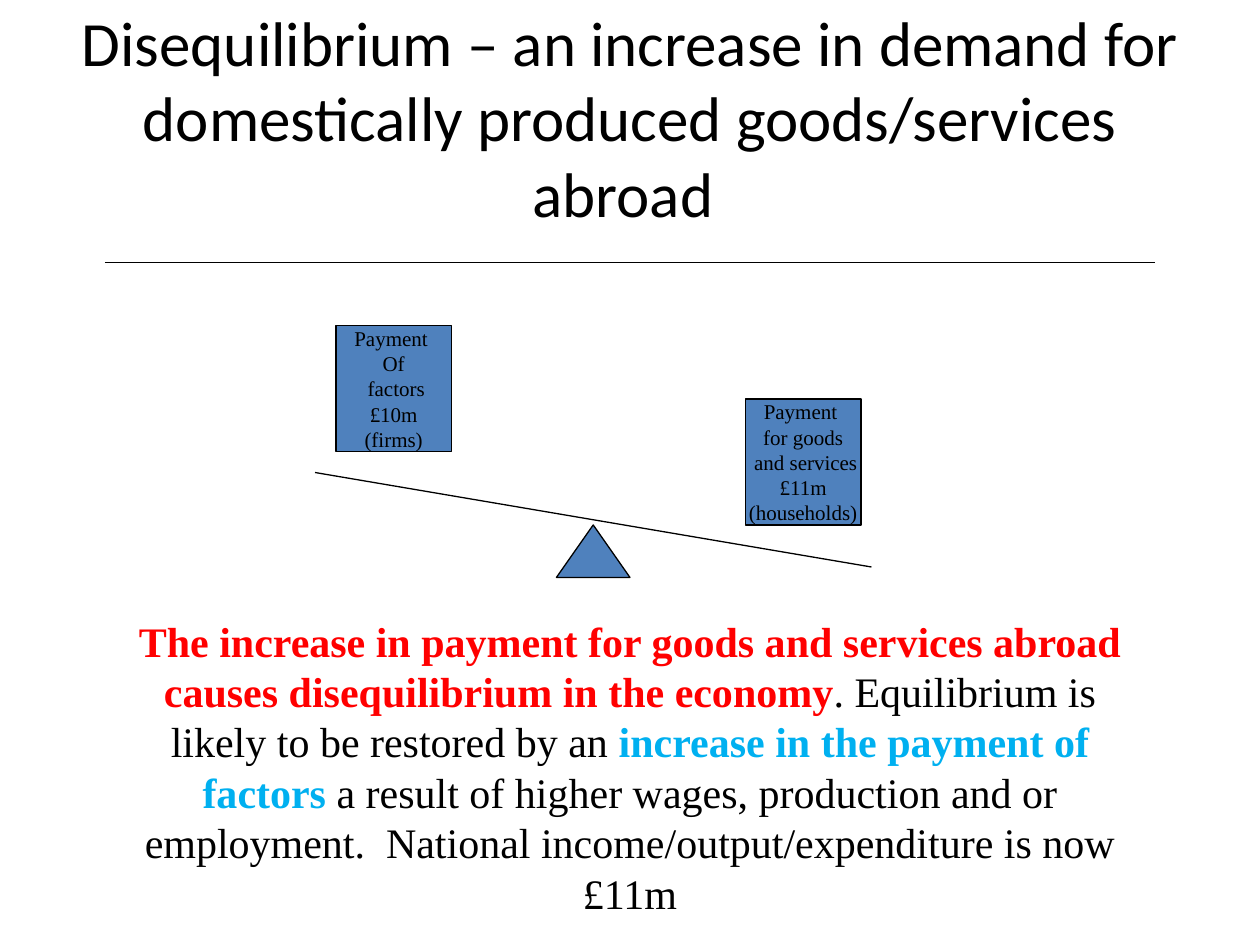
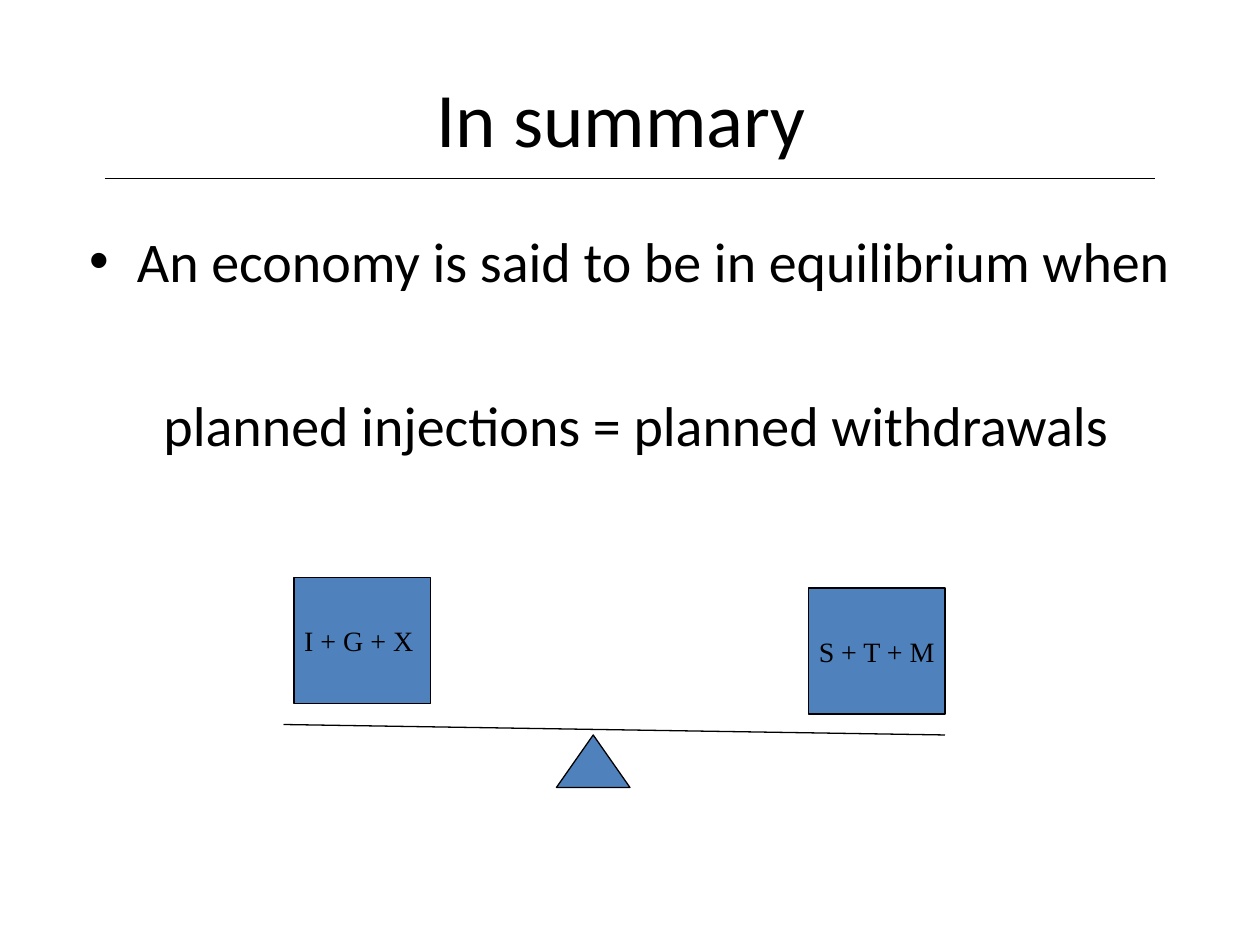
from lxml import etree
from pptx import Presentation
from pptx.dml.color import RGBColor
from pptx.enum.shapes import MSO_CONNECTOR, MSO_SHAPE
from pptx.enum.text import MSO_ANCHOR, PP_ALIGN
from pptx.oxml.ns import qn
from pptx.util import Inches, Pt

BLACK = RGBColor(0x00, 0x00, 0x00)
RED = RGBColor(0xFF, 0x00, 0x00)
SKY = RGBColor(0x00, 0xB0, 0xF0)
BLUE = RGBColor(0x4F, 0x81, 0xBD)
SANS, SERIF = "Calibri", "Times New Roman"

# Every length below is in grid cells; the slide is 120 columns by 90 rows.
COLUMNS, ROWS = 120, 90
CELL = Inches(10) // COLUMNS
RULE_LEFT, RULE_RIGHT = 10, COLUMNS - 10
TITLE_BOX = (6, 3.6, 108, 15)
PIVOT_LEFT, PIVOT_WIDTH, PIVOT_HEIGHT = 53, 7, 5
WEIGHT_HEIGHT = 12
HANGING = 0.38

EXPLANATION_BOX = (11, 58, 98, 30)
EXPLANATION = [
    ("The increase in payment for goods and services abroad causes "
     "disequilibrium in the economy", RED, True),
    (". Equilibrium is likely to be restored by an ", BLACK, False),
    ("increase in the payment of factors ", SKY, True),
    ("a result of higher wages, production and or employment.  National "
     "income/output/expenditure is now £11m", BLACK, False),
]

CONDITION_BOX = (6, 21, 108, 56)
CONDITION = [  # text, bullet, points before
    ("An economy is said to be in equilibrium when", True, 0),
    (" planned injections = planned withdrawals", False, 55),
]

DISEQUILIBRIUM = {
    "title": "Disequilibrium – an increase in demand for domestically "
             "produced goods/services abroad ",
    "title_size": 36,
    "rule_row": 25,
    "plank": ((30, 45), (83, 54)),
    "pivot_row": 50,
    "weight_width": 11,
    "weight_size": 12,
    "weights": [
        ((71, 38), ["Payment ", "for goods", " and services", "£11m",
                    "(households)"]),
        ((32, 31), ["Payment ", "Of", " factors", "£10m", "(firms)"]),
    ],
}
SUMMARY = {
    "title": "In summary ",
    "title_size": 44,
    "rule_row": 17,
    "plank": ((27, 69), (90, 70)),
    "pivot_row": 70,
    "weight_width": 13,
    "weight_size": 16,
    "weights": [((28, 55), ["I + G + X "]), ((77, 56), ["S + T + M"])],
}


def cells(*counts):
    return [round(count * CELL) for count in counts]


def add_run(paragraph, text, size, font, color=BLACK, bold=False):
    run = paragraph.add_run()
    run.text = text
    run.font.size, run.font.name, run.font.bold = Pt(size), font, bold
    run.font.color.rgb = color


def add_paragraph(frame, first):
    paragraph = frame.paragraphs[0] if first else frame.add_paragraph()
    paragraph.alignment = PP_ALIGN.CENTER
    return paragraph


def add_text_frame(slide, box, anchor=MSO_ANCHOR.TOP):
    frame = slide.shapes.add_textbox(*cells(*box)).text_frame
    frame.word_wrap = True
    frame.vertical_anchor = anchor
    return frame


def add_line(slide, start, end):
    line = slide.shapes.add_connector(MSO_CONNECTOR.STRAIGHT,
                                      *cells(*start, *end))
    line.line.color.rgb = BLACK
    line.line.width = Pt(0.75)
    etree.SubElement(line.element.spPr, qn("a:effectLst"))


def add_solid(slide, preset, box):
    """Add a blue shape with a thin black outline."""
    solid = slide.shapes.add_shape(preset, *cells(*box))
    solid.shadow.inherit = False
    solid.fill.solid()
    solid.fill.fore_color.rgb = BLUE
    solid.line.color.rgb = BLACK
    solid.line.width = Pt(0.75)
    return solid


def add_seesaw(slide, content):
    """Draw the plank, its pivot and the two weights above it."""
    add_line(slide, *content["plank"])
    add_solid(slide, MSO_SHAPE.ISOSCELES_TRIANGLE,
              (PIVOT_LEFT, content["pivot_row"], PIVOT_WIDTH, PIVOT_HEIGHT))
    for corner, lines in content["weights"]:
        box = (*corner, content["weight_width"], WEIGHT_HEIGHT)
        frame = add_solid(slide, MSO_SHAPE.RECTANGLE, box).text_frame
        frame.word_wrap = False
        frame.vertical_anchor = MSO_ANCHOR.MIDDLE
        for index, line in enumerate(lines):
            add_run(add_paragraph(frame, index == 0), line,
                    content["weight_size"], SERIF)


def add_content_slide(deck, content):
    """Add a slide with its title, the rule below it and the seesaw."""
    slide = deck.slides.add_slide(deck.slide_layouts[6])
    title = add_text_frame(slide, TITLE_BOX, MSO_ANCHOR.MIDDLE)
    add_run(add_paragraph(title, True), content["title"],
            content["title_size"], SANS)
    row = content["rule_row"]
    add_line(slide, (RULE_LEFT, row), (RULE_RIGHT, row))
    add_seesaw(slide, content)
    return slide


def add_explanation(slide):
    paragraph = add_paragraph(add_text_frame(slide, EXPLANATION_BOX), True)
    for text, color, bold in EXPLANATION:
        add_run(paragraph, text, 24, SERIF, color, bold)


def add_condition(slide):
    frame = add_text_frame(slide, CONDITION_BOX)
    for index, (text, bullet, before) in enumerate(CONDITION):
        paragraph = add_paragraph(frame, index == 0)
        paragraph.space_before = Pt(before)
        add_run(paragraph, text, 32, SANS)
        properties = paragraph._p.get_or_add_pPr()
        properties.set("marL", str(Inches(HANGING)))
        properties.set("indent", str(-Inches(HANGING)))
        if bullet:
            etree.SubElement(properties, qn("a:buFont"), typeface="Arial")
            etree.SubElement(properties, qn("a:buChar"), char="•")
        else:
            etree.SubElement(properties, qn("a:buNone"))


def main():
    deck = Presentation()
    deck.slide_width, deck.slide_height = cells(COLUMNS, ROWS)
    add_explanation(add_content_slide(deck, DISEQUILIBRIUM))
    add_condition(add_content_slide(deck, SUMMARY))
    deck.save("out.pptx")


if __name__ == "__main__":
    main()
